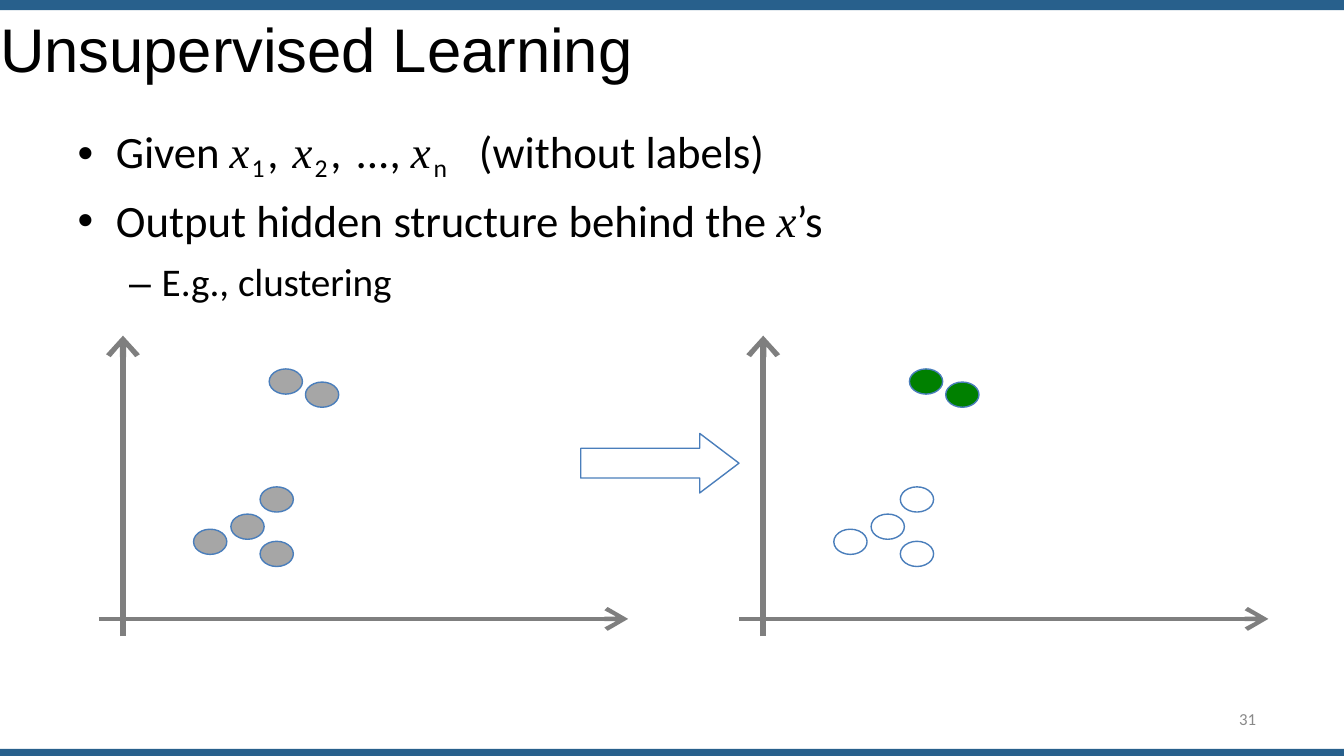
from lxml.etree import SubElement
from pptx import Presentation
from pptx.dml.color import RGBColor
from pptx.enum.shapes import MSO_CONNECTOR, MSO_SHAPE
from pptx.oxml.ns import qn
from pptx.util import Pt

PX = 9144  # one px is a hundredth of an inch
COLORS = {
    "bar": "28608C", "text": "000000", "number": "898989", "axis": "7F7F7F",
    "outline": "4A7EBB", "unlabelled": "A6A6A6", "cluster": "008000",
}

presentation = Presentation()
presentation.slide_width, presentation.slide_height = 1333 * PX, 750 * PX
slide = presentation.slides.add_slide(presentation.slide_layouts[6])


def add_block(preset, box, fill=None, line=None):
    shape = slide.shapes.add_shape(preset, *[value * PX for value in box])
    shape.shadow.inherit = False
    for target, color in ((shape.fill, fill), (shape.line.fill, line)):
        if color:
            target.solid()
            target.fore_color.rgb = RGBColor.from_string(COLORS[color])
        else:
            target.background()
    if line:
        shape.line.width = Pt(1)
    return shape


def add_text(box, top_inset, paragraphs, color="text"):
    frame = slide.shapes.add_textbox(*[value * PX for value in box]).text_frame
    frame.word_wrap = True
    frame.margin_left = frame.margin_right = frame.margin_bottom = 0
    frame.margin_top = top_inset * PX
    for index, (layout, runs) in enumerate(paragraphs):
        paragraph = frame.add_paragraph() if index else frame.paragraphs[0]
        paragraph.space_before = Pt(layout.get("before", 0))
        properties = paragraph._p.get_or_add_pPr()
        properties.set("marL", str(layout.get("left", 0) * PX))
        properties.set("indent", str(layout.get("indent", 0) * PX))
        if "bullet" in layout:
            SubElement(properties, qn("a:buFont"), typeface="Arial")
            SubElement(properties, qn("a:buChar"), char=layout["bullet"])
        if "tabs" in layout:
            tabs = SubElement(properties, qn("a:tabLst"))
            for position in layout["tabs"]:
                SubElement(tabs, qn("a:tab"), pos=str(position * PX), algn="l")
        for text, font, attributes in runs:
            run = paragraph.add_run()
            run.text = text
            run.font.color.rgb = RGBColor.from_string(COLORS[color])
            for name, value in font.items():
                setattr(run.font, name, value)
            for name, value in attributes.items():
                run._r.get_or_add_rPr().set(name, value)


# Bars along the top and bottom edges
for top, height in ((0, 10), (743, 7)):
    add_block(MSO_SHAPE.RECTANGLE, (0, top, 1333, height), fill="bar")

# Title
title_font = {"name": "Arial", "size": Pt(44)}
add_text((0, 10, 761, 76), 1, [
    ({}, [("Unsupervised Learning", title_font, {"spc": "-5"})]),
])

# Bullets
body = {"name": "Calibri", "size": Pt(32)}
variable = {"name": "Times New Roman", "size": Pt(32), "italic": True}
index_font = {"name": "Calibri", "size": Pt(31.5)}
dash = {"name": "Arial", "size": Pt(28)}
detail = {"name": "Calibri", "size": Pt(28)}
tight, plain, wide = {"spc": "-10"}, {"spc": "0"}, {"spc": "140"}
subscript = {"spc": "210", "baseline": "-19000"}
last_subscript = {"spc": "300", "baseline": "-19000"}
bullet = {"left": 44, "indent": -38, "bullet": "•"}

add_text((71, 111, 1008, 188), 12, [
    (bullet | {"tabs": (44, 404)}, [
        ("Given ", body, tight),
        ("x", variable, wide), ("1", index_font, subscript), (", ", body, wide),
        ("x", variable, wide), ("2", index_font, subscript), (", ", body, wide),
        ("..., ", body, plain),
        ("x", variable, {"spc": "200"}), ("n\t", index_font, last_subscript),
        ("(without", body, plain), (" labels)", body, tight),
    ]),
    (bullet | {"before": 7.6}, [
        ("Output hidden ", body, plain), ("structure ", body, tight),
        ("behind the ", body, plain), ("x", variable, plain), ("’s", body, plain),
    ]),
    ({"left": 57, "before": 7.6}, [
        ("– ", dash, plain), ("E.g., ", detail, plain), ("clustering", detail, tight),
    ]),
])

# Two scatter plots: unlabelled points, then the clusters found
AXES = (  # start, end, width in points, arrowhead length
    ((122, 631), (122, 333), 4.4, "med"),
    ((98, 614), (623, 614), 3.1, "lg"),
)
LOWER_POINTS = ((258, 483), (258, 537), (192, 525), (229, 510))
UPPER_POINTS = ((303, 379), (267, 366))

for offset, lower_fill, upper_fill in ((0, "unlabelled", "unlabelled"), (635, None, "cluster")):
    for (x1, y1), (x2, y2), width, head_length in AXES:
        axis = slide.shapes.add_connector(
            MSO_CONNECTOR.STRAIGHT,
            (x1 + offset) * PX, y1 * PX, (x2 + offset) * PX, y2 * PX)
        axis.line.width = Pt(width)
        axis.line.color.rgb = RGBColor.from_string(COLORS["axis"])
        SubElement(axis.line._get_or_add_ln(), qn("a:tailEnd"),
                   type="arrow", w="lg", len=head_length)
        SubElement(axis._element.spPr, qn("a:effectLst"))
    for points, fill in ((LOWER_POINTS, lower_fill), (UPPER_POINTS, upper_fill)):
        for x, y in points:
            add_block(MSO_SHAPE.OVAL, (x + offset, y, 33, 25), fill, "outline")

# Arrow between the plots
arrow = add_block(MSO_SHAPE.RIGHT_ARROW, (576, 430, 157, 59), line="outline")
arrow.adjustments[0] = 0.5
arrow.adjustments[1] = 0.66

# Page number
number_font = {"name": "Calibri", "size": Pt(12)}
add_text((1229, 702, 26, 22), 1, [({}, [("31", number_font, {})])], "number")

presentation.save("out.pptx")
